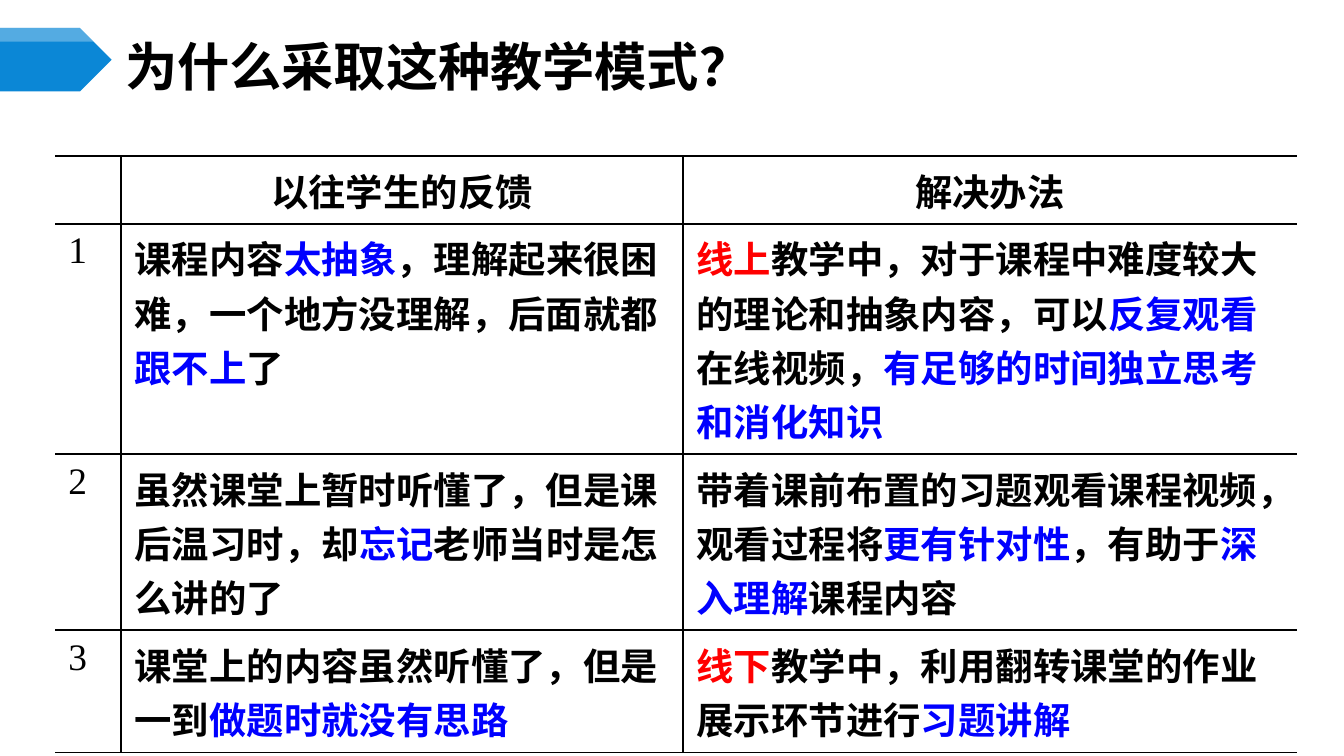
from lxml.etree import SubElement
from pptx import Presentation
from pptx.dml.color import RGBColor
from pptx.enum.shapes import MSO_SHAPE
from pptx.enum.text import MSO_ANCHOR, MSO_AUTO_SIZE, PP_ALIGN
from pptx.oxml.ns import qn
from pptx.util import Cm, Pt

BLACK, WHITE, BLUE, RED = "000000", "FFFFFF", "0000FF", "FF0000"


def paint(fill, color):
    fill.solid()
    fill.fore_color.rgb = RGBColor.from_string(color)


def add_run(p, text, size, color=BLACK, bold=True):
    r = p.add_run()
    r.text = text
    r.font.name = "Times New Roman"
    r.font.size = Pt(size)
    r.font.bold = bold
    r.font.color.rgb = RGBColor.from_string(color)


prs = Presentation()
prs.slide_width, prs.slide_height = Cm(25.4), Cm(14.29)
s = prs.slides.add_slide(prs.slide_layouts[5])

title = s.shapes.title
title.left, title.top, title.width, title.height = Cm(2.11), Cm(0.74), Cm(22.02), Cm(0.99)
tf = title.text_frame
tf.auto_size = MSO_AUTO_SIZE.NONE
tf.vertical_anchor = MSO_ANCHOR.MIDDLE
p = tf.paragraphs[0]
p.alignment = PP_ALIGN.LEFT
add_run(p, "为什么采取这种教学模式？", 28)

arrow = s.shapes.add_shape(MSO_SHAPE.PENTAGON, 0, Cm(0.53), Cm(2.11), Cm(1.2))
fb = s.shapes.build_freeform(0, Cm(0.53))
fb.add_line_segments([(Cm(1.51), Cm(0.53)), (Cm(1.77), Cm(0.79)), (0, Cm(0.79))])
gloss = fb.convert_to_shape()
for sp, color in [(arrow, "0B87D6"), (gloss, WHITE)]:
    paint(sp.fill, color)
    sp.line.fill.background()
    sp.shadow.inherit = False
clr = gloss.fill._xPr.find(qn("a:solidFill"))[0]
SubElement(clr, qn("a:alpha"), val="30000")

rows = [
    [[], [("以往学生的反馈", BLACK)], [("解决办法", BLACK)]],
    [
        [("1", BLACK)],
        [("课程内容", BLACK), ("太抽象", BLUE),
         ("，理解起来很困难，一个地方没理解，后面就都", BLACK),
         ("跟不上", BLUE), ("了", BLACK)],
        [("线上", RED), ("教学中，对于课程中难度较大的理论和抽象内容，可以", BLACK),
         ("反复观看", BLUE), ("在线视频，", BLACK),
         ("有足够的时间独立思考和消化知识", BLUE)],
    ],
    [
        [("2", BLACK)],
        [("虽然课堂上暂时听懂了，但是课后温习时，却", BLACK), ("忘记", BLUE),
         ("老师当时是怎么讲的了", BLACK)],
        [("带着课前布置的习题观看课程视频，观看过程将", BLACK), ("更有针对性", BLUE),
         ("，有助于", BLACK), ("深入理解", BLUE), ("课程内容", BLACK)],
    ],
    [
        [("3", BLACK)],
        [("课堂上的内容虽然听懂了，但是一到", BLACK), ("做题时就没有思路", BLUE)],
        [("线下", RED), ("教学中，利用翻转课堂的作业展示环节进行", BLACK),
         ("习题讲解", BLUE)],
    ],
]
widths = [1.25, 10.62, 11.6]
heights = [1.27, 4.34, 3.33, 2.31]
table = s.shapes.add_table(len(rows), len(widths), Cm(1.04), Cm(2.95),
                           Cm(sum(widths)), Cm(sum(heights))).table
table.horz_banding = False
for col, width in zip(table.columns, widths):
    col.width = Cm(width)
for row, height in zip(table.rows, heights):
    row.height = Cm(height)

for i, row in enumerate(rows):
    for j, runs in enumerate(row):
        cell = table.cell(i, j)
        tcPr = cell._tc.get_or_add_tcPr()
        for side, shown in [("L", j > 0), ("R", j < 2), ("T", True), ("B", True)]:
            ln = SubElement(tcPr, qn(f"a:ln{side}"), w=str(Pt(1)))
            if shown:
                SubElement(SubElement(ln, qn("a:solidFill")), qn("a:srgbClr"), val=BLACK)
            else:
                SubElement(ln, qn("a:noFill"))
        paint(cell.fill, WHITE)
        p = cell.text_frame.paragraphs[0]
        p.alignment = PP_ALIGN.CENTER if i == 0 else PP_ALIGN.LEFT
        for text, color in runs:
            add_run(p, text, 20, color, bold=j > 0)

prs.save("out.pptx")
